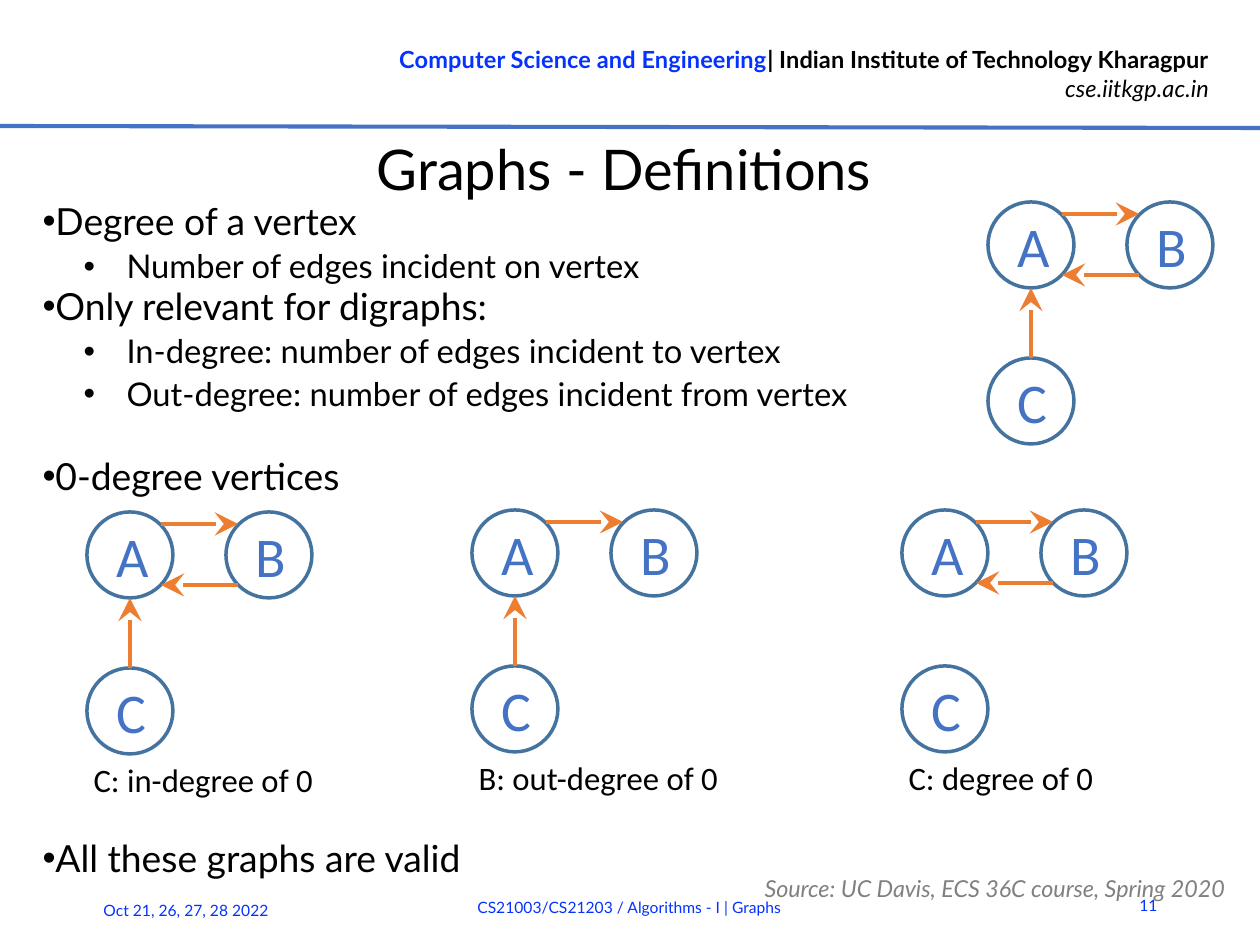
from lxml.etree import SubElement
from pptx import Presentation
from pptx.dml.color import RGBColor
from pptx.enum.shapes import MSO_CONNECTOR as Connector, MSO_SHAPE as Shape
from pptx.enum.text import MSO_ANCHOR as Anchor, MSO_AUTO_SIZE as AutoSize, PP_ALIGN as Align
from pptx.oxml.ns import qn
from pptx.util import Emu, Pt

SCALE = 914400 / 168
THEME = {
    "ink": "000000", "link": "0432FF", "muted": "808080",
    "label": "4472C4", "ring": "43739E", "edge": "ED7D31",
    "slide_font": "Lato", "graph_font": "Calibri", "bullet_font": "Arial",
    "title": 24, "node": 24, "bullet": 16, "detail": 14,
    "header": 10.13, "source": 10, "footer": 6.75,
}


def px(*lengths):
    return [Emu(round(length * SCALE)) for length in lengths]


def write(paragraph, text, size, color="ink", face="slide_font", layout=None, **font_values):
    run = paragraph.add_run()
    run.text = text
    run.font.color.rgb = RGBColor.from_string(THEME[color])
    font_values.update(name=THEME[face], size=Pt(THEME[size]))
    for name, value in font_values.items():
        setattr(run.font, name, value)
    for name, value in (layout or {}).items():
        setattr(paragraph, name, value)


presentation = Presentation()
presentation.slide_width, presentation.slide_height = px(1260, 945)
slide = presentation.slides.add_slide(presentation.slide_layouts[5])
shapes = slide.shapes

title = shapes.title
title.left, title.top, title.width, title.height = px(41, 133, 1166, 69)
frame_values = {
    "margin_left": 0, "margin_right": 0, "margin_top": px(2)[0], "margin_bottom": 0,
    "vertical_anchor": Anchor.MIDDLE, "auto_size": AutoSize.NONE, "word_wrap": True,
}
for name, value in frame_values.items():
    setattr(title.text_frame, name, value)
write(title.text_frame.paragraphs[0], "Graphs - Definitions", "title", layout={"alignment": Align.CENTER})

header = shapes.add_textbox(*px(320, 37, 906, 74)).text_frame
header.word_wrap = True
right = {"alignment": Align.RIGHT}
department = header.paragraphs[0]
write(department, "Computer Science and Engineering", "header", "link", bold=True)
write(department, "| Indian Institute of Technology Kharagpur", "header", layout=right, bold=True)
write(header.add_paragraph(), "cse.iitkgp.ac.in", "header", layout=right, italic=True)

BULLETS = [
    (0, "Degree of a vertex", 0),
    (1, "Number of edges incident on vertex", 1),
    (0, "Only relevant for digraphs:", 1),
    (1, "In-degree: number of edges incident to vertex", 1),
    (1, "Out-degree: number of edges incident from vertex", 1),
    (0, "0-degree vertices", 19.2),
    (0, "All these graphs are valid", 146.6),
]
body = shapes.add_textbox(*px(26, 197, 921, 672)).text_frame
body.word_wrap = True
for index, (level, text, space_before) in enumerate(BULLETS):
    paragraph = body.add_paragraph() if index else body.paragraphs[0]
    margin, indent = px(84, -43) if level else px(0, 0)
    properties = paragraph._p.get_or_add_pPr()
    properties.set("marL", str(margin))
    properties.set("indent", str(indent))
    SubElement(properties, qn("a:buFont")).set("typeface", THEME["bullet_font"])
    SubElement(properties, qn("a:buChar")).set("char", "•")
    spacing = {
        "level": level, "line_spacing": Pt(16.2),
        "space_before": Pt(space_before), "space_after": Pt(1),
    }
    write(paragraph, text, "detail" if level else "bullet", layout=spacing)

FOOTERS = [
    ((87, 885, 220, 50), "Oct 21, 26, 27, 28 2022", "footer", "link", Align.LEFT, False),
    ((208, 882, 843, 50), "CS21003/CS21203 / Algorithms - I | Graphs", "footer", "link", Align.CENTER, False),
    ((1112, 880, 62, 50), "11", "footer", "link", Align.RIGHT, False),
    ((748, 869, 507, 29), "Source: UC Davis, ECS 36C course, Spring 2020", "source", "muted", Align.LEFT, True),
]
for area, text, size, color, alignment, italic in FOOTERS:
    footer = shapes.add_textbox(*px(*area)).text_frame
    footer.word_wrap = True
    footer.vertical_anchor = Anchor.MIDDLE
    layout = {"alignment": alignment}
    if size == "source":
        layout["line_spacing"] = Pt(16)
    write(footer.paragraphs[0], text, size, color, layout=layout, italic=italic)

NODE_SIZE = 86
NODES = {"A": (0, 0), "B": (139, 0), "C": (0, 156)}
EDGES = {"AB": (74, 12, 151, 12), "BA": (151, 73, 74, 73), "CA": (43, 156, 43, 86)}
GRAPHS = [
    (988, 202, ["AB", "BA", "CA"], ""),
    (87, 512, ["AB", "BA", "CA"], "C: in-degree of 0"),
    (472, 510, ["AB", "CA"], "B: out-degree of 0"),
    (902, 510, ["AB", "BA"], "C: degree of 0"),
]
lines = [((0, 126, 1260, 128), "label", 1.75, False)]
for left, top, edges, caption in GRAPHS:
    for letter, (across, down) in NODES.items():
        node = shapes.add_shape(Shape.OVAL, *px(left + across, top + down, NODE_SIZE, NODE_SIZE))
        node.shadow.inherit = False
        node.fill.background()
        node.line.color.rgb = RGBColor.from_string(THEME["ring"])
        node.line.width = Pt(1.5)
        node.text_frame.vertical_anchor = Anchor.MIDDLE
        write(node.text_frame.paragraphs[0], letter, "node", "label", "graph_font", {"alignment": Align.CENTER})
    for edge in edges:
        x1, y1, x2, y2 = EDGES[edge]
        lines.append(((left + x1, top + y1, left + x2, top + y2), "edge", 2, True))
    if caption:
        label = shapes.add_textbox(*px(left - 10, top + 240, 290, 57)).text_frame
        label.word_wrap = True
        write(label.paragraphs[0], caption, "detail", face="graph_font")

for ends, color, width, has_arrow in lines:
    line = shapes.add_connector(Connector.STRAIGHT, *px(*ends))
    line.line.color.rgb = RGBColor.from_string(THEME[color])
    line.line.width = Pt(width)
    if has_arrow:
        arrowhead = SubElement(line.line._get_or_add_ln(), qn("a:tailEnd"))
        for name, value in {"type": "stealth", "w": "lg", "len": "lg"}.items():
            arrowhead.set(name, value)
    SubElement(line._element.spPr, qn("a:effectLst"))

presentation.save("out.pptx")
